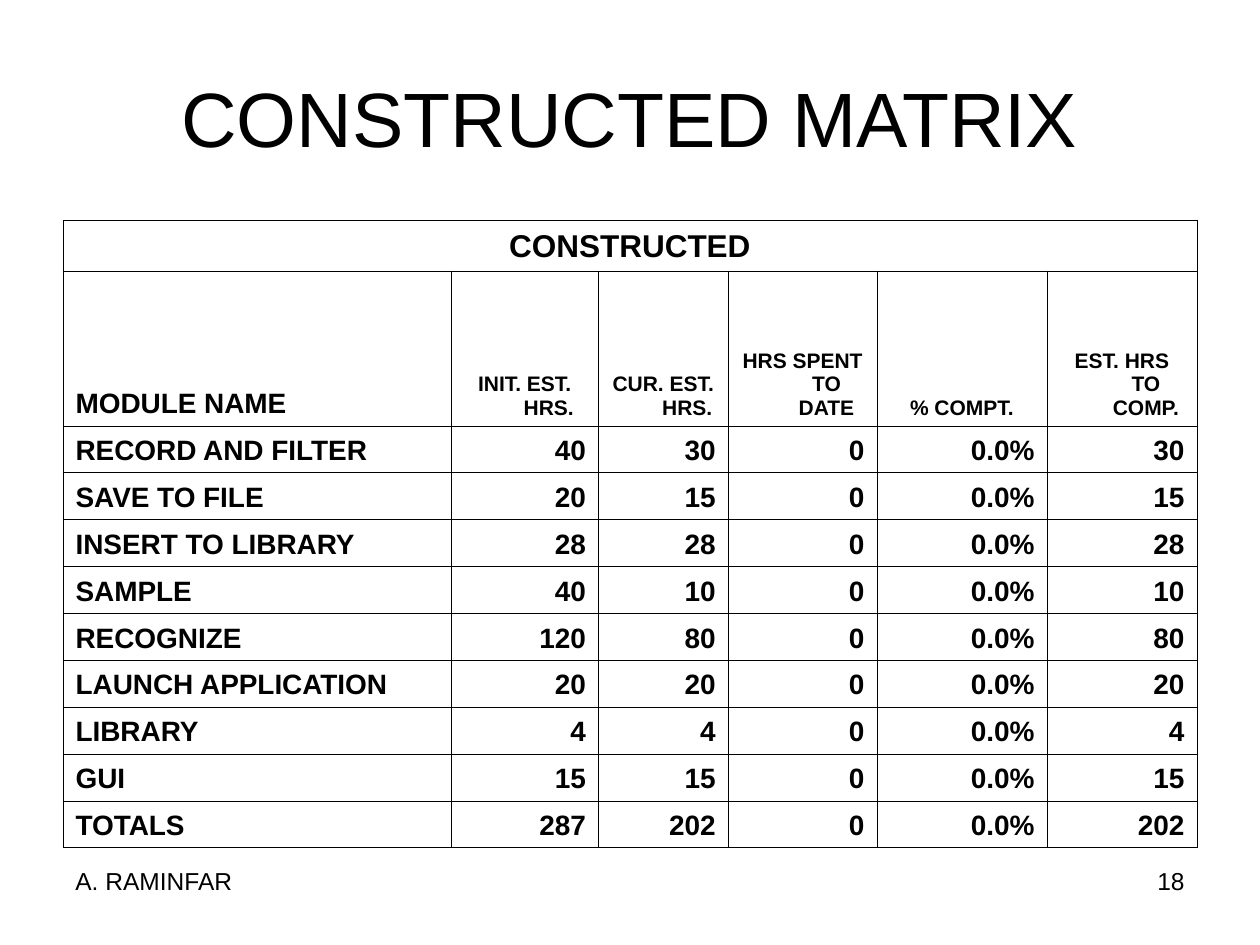
from pptx import Presentation
from pptx.dml.color import RGBColor
from pptx.enum.text import MSO_ANCHOR, PP_ALIGN
from pptx.oxml import parse_xml
from pptx.oxml.ns import nsdecls
from pptx.util import Inches, Pt

LEFT, MID, RIGHT = PP_ALIGN.LEFT, PP_ALIGN.CENTER, PP_ALIGN.RIGHT
TOP, CENTRE, LOW = MSO_ANCHOR.TOP, MSO_ANCHOR.MIDDLE, MSO_ANCHOR.BOTTOM
INK = "000000"
EDGE = Pt(0.45)
HANG = Inches(0.38)


def write(frame, text, size, align, anchor, bold=False):
    frame.text = text
    frame.word_wrap = True
    frame.vertical_anchor = anchor
    para = frame.paragraphs[0]
    para.alignment = align
    look = {"name": "Arial", "size": Pt(size), "bold": bold}
    for key, value in look.items():
        setattr(para.runs[0].font, key, value)
    para.runs[0].font.color.rgb = RGBColor.from_string(INK)
    return para


def frame_cell(cell):
    """Draw thin lines on all four sides and leave the cell unfilled."""
    props = cell._tc.get_or_add_tcPr()
    for side in ("lnL", "lnR", "lnT", "lnB"):
        props.append(parse_xml(
            f'<a:{side} {nsdecls("a")} w="{EDGE}"><a:solidFill>'
            f'<a:srgbClr val="{INK}"/></a:solidFill></a:{side}>'))
    cell.fill.background()


deck = Presentation()
deck.slide_width, deck.slide_height = Inches(10), Inches(7.5)
wide, high = deck.slide_width, deck.slide_height
edge, span = int(wide * 0.05), int(wide * 0.9)
slide = deck.slides.add_slide(deck.slide_layouts[5])

# Title
title = slide.shapes.title
place = {"left": edge, "top": int(high * 0.04),
         "width": span, "height": high // 6}
for key, value in place.items():
    setattr(title, key, value)
write(title.text_frame, "CONSTRUCTED MATRIX", 44, MID, CENTRE)

# Module name, then initial, current, spent, percent and remaining hours
heads = ["MODULE NAME", "INIT. EST. HRS.", "CUR. EST. HRS.",
         "HRS SPENT TO DATE", "% COMPT.", "EST. HRS TO COMP."]
hours = [
    ("RECORD AND FILTER", 40, 30),
    ("SAVE TO FILE", 20, 15),
    ("INSERT TO LIBRARY", 28, 28),
    ("SAMPLE", 40, 10),
    ("RECOGNIZE", 120, 80),
    ("LAUNCH APPLICATION", 20, 20),
    ("LIBRARY", 4, 4),
    ("GUI", 15, 15),
    ("TOTALS", 287, 202),
]
rows = [["CONSTRUCTED"] + [""] * 5, heads]
rows += [[name, str(first), str(now), "0", "0.0%", str(now)]
         for name, first, now in hours]

tall = Inches(4.98)
tops = [Inches(0.4), Inches(1.23)]
step = (tall - sum(tops)) // len(hours)
cols = [3.08, 1.17, 1.03, 1.18, 1.35, 1.19]

grid = slide.shapes.add_table(len(rows), len(cols), edge, Inches(1.75),
                              span, tall).table
grid.first_row = grid.horz_banding = False
for col, width in zip(grid.columns, cols):
    col.width = Inches(width)
for row, height in zip(grid.rows, tops + [step] * len(hours)):
    row.height = height
grid.cell(0, 0).merge(grid.cell(0, len(cols) - 1))

for r, line in enumerate(rows):
    for c, text in enumerate(line):
        cell = grid.cell(r, c)
        frame_cell(cell)
        if not text:
            continue
        if r == 0:
            size, align = 18, MID
        elif c == 0:
            size, align = 16, LEFT
        elif r == 1:
            size, align = 12, MID
        else:
            size, align = 16, RIGHT
        para = write(cell.text_frame, text, size, align, LOW, True)
        cell.vertical_anchor = LOW
        indent = para._p.get_or_add_pPr()
        indent.set("marL", str(HANG))
        indent.set("indent", str(-HANG))

# Footer: author on the left, page on the right
part = int(wide * 0.233)
for text, left, align in (("18", edge + span - part, RIGHT),
                          ("A. RAMINFAR", edge, LEFT)):
    box = slide.shapes.add_textbox(left, int(high * 0.91), part,
                                   int(high * 0.07))
    write(box.text_frame, text, 14, align, TOP)

deck.save("out.pptx")
